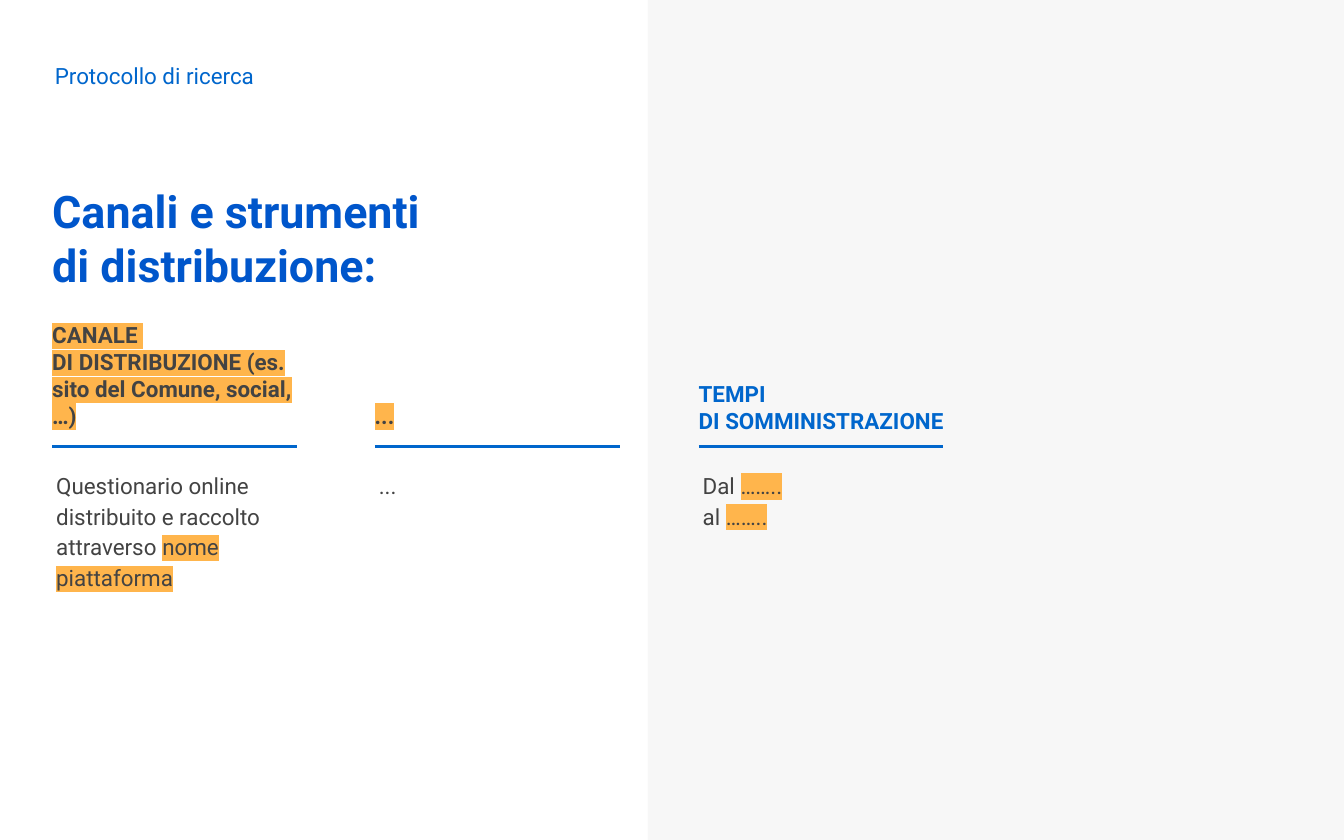
from lxml.etree import SubElement
from pptx import Presentation
from pptx.dml.color import RGBColor
from pptx.enum.shapes import MSO_CONNECTOR, MSO_SHAPE
from pptx.enum.text import MSO_ANCHOR
from pptx.oxml import parse_xml
from pptx.oxml.ns import nsdecls, qn
from pptx.util import Emu, Pt

PX = 9144  # 100 px to the inch
WIDTH, HEIGHT = 1000, 625
BLUE, TITLE_BLUE, GREY = "0066CC", "0056CB", "434343"
PANEL, MARKER = "F7F7F7", "FFB54C"


def px(*lengths):
    return [Emu(length * PX) for length in lengths]


def color(hex_code):
    return RGBColor.from_string(hex_code)


def mark(run):
    """Put the marker colour behind a run whose font colour is already set."""
    highlight = parse_xml(
        f'<a:highlight {nsdecls("a")}><a:srgbClr val="{MARKER}"/></a:highlight>')
    run.font._element.find(qn("a:solidFill")).addnext(highlight)


def add_text(slide, box, paragraphs, size=12, ink=GREY, bold=False,
             anchor=MSO_ANCHOR.TOP, spacing=None):
    """Each paragraph is a list of (text, marked) runs."""
    frame = slide.shapes.add_textbox(*px(*box)).text_frame
    frame.word_wrap = True
    frame.vertical_anchor = anchor
    (frame.margin_left, frame.margin_top,
     frame.margin_right, frame.margin_bottom) = px(10, 10, 10, 10)
    for index, runs in enumerate(paragraphs):
        paragraph = frame.paragraphs[0] if index == 0 else frame.add_paragraph()
        if spacing:
            paragraph.line_spacing = spacing
        for words, marked in runs:
            run = paragraph.add_run()
            run.text = words
            run.font.size = Pt(size)
            run.font.bold = bold
            run.font.color.rgb = color(ink)
            run.font.name = "Roboto"
            if marked:
                mark(run)


def add_rule(slide, left, top, width):
    rule = slide.shapes.add_connector(
        MSO_CONNECTOR.STRAIGHT, *px(left, top, left + width, top))
    rule.line.color.rgb = color(BLUE)
    rule.line.width = Pt(1.5)
    SubElement(rule._element.spPr, qn("a:effectLst"))


def add_panel(slide, left, top, width, height):
    panel = slide.shapes.add_shape(
        MSO_SHAPE.RECTANGLE, *px(left, top, width, height))
    panel.shadow.inherit = False
    panel.fill.solid()
    panel.fill.fore_color.rgb = color(PANEL)
    panel.line.fill.background()


def add_heading(slide, left, top):
    add_text(slide, (left + 2, top, 424, 34), [[("Protocollo di ricerca", False)]],
             ink=BLUE, anchor=MSO_ANCHOR.MIDDLE)
    add_text(slide, (left, top + 88, 490, 96),
             [[("Canali e strumenti", False)], [("di distribuzione:", False)]],
             size=24, ink=TITLE_BLUE, bold=True)


def add_column(slide, left, rule_top, header, body, header_rise=37, **header_format):
    """A header above a rule, with body text below it."""
    add_text(slide, (left - 10, rule_top - header_rise, 213, 34), header,
             bold=True, **header_format)
    add_rule(slide, left, rule_top, 182)
    add_text(slide, (left - 7, rule_top + 6, 190, 179), body, spacing=1.15)


def main():
    deck = Presentation()
    deck.slide_width, deck.slide_height = px(WIDTH, HEIGHT)
    slide = deck.slides.add_slide(deck.slide_layouts[6])

    add_panel(slide, 482, 0, WIDTH - 482, HEIGHT)
    add_heading(slide, 29, 39)
    add_column(
        slide, 39, 332,
        [[("CANALE ", True)],
         [("DI DISTRIBUZIONE (es. sito del Comune, social, …)", True)]],
        [[("Questionario online distribuito e raccolto attraverso ", False),
          ("nome piattaforma", True)]],
        anchor=MSO_ANCHOR.BOTTOM)
    add_column(slide, 279, 332, [[("...", True)]], [[("...", False)]],
               anchor=MSO_ANCHOR.BOTTOM)
    add_column(
        slide, 520, 332,
        [[("TEMPI", False)], [("DI SOMMINISTRAZIONE", False)]],
        [[("Dal ", False), ("……..", True)], [("al ", False), ("……..", True)]],
        header_rise=59, ink=BLUE)

    deck.save("out.pptx")


if __name__ == "__main__":
    main()
